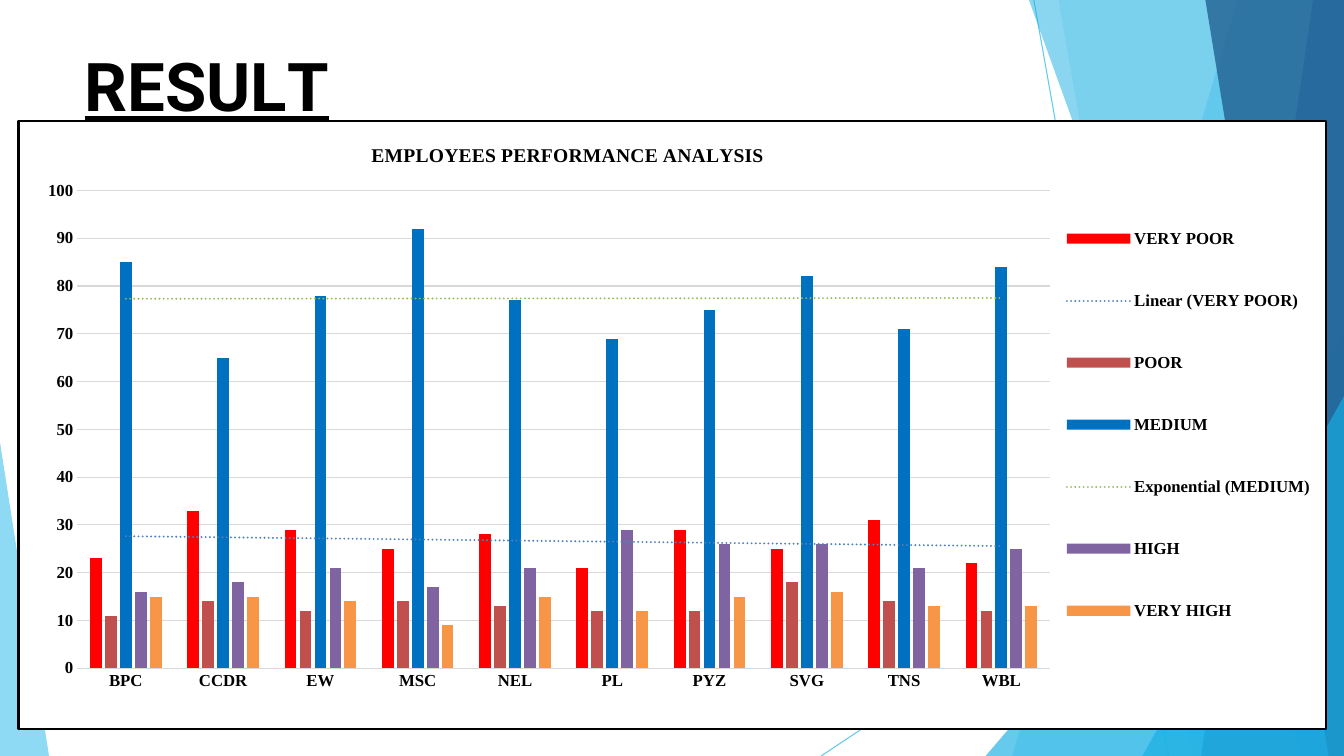
from lxml.etree import SubElement
from pptx import Presentation
from pptx.chart.data import CategoryChartData
from pptx.dml.color import RGBColor
from pptx.enum.chart import XL_CHART_TYPE, XL_LEGEND_POSITION, XL_TICK_MARK
from pptx.enum.shapes import MSO_CONNECTOR
from pptx.enum.text import MSO_ANCHOR, PP_ALIGN
from pptx.oxml import parse_xml
from pptx.oxml.ns import nsdecls, qn
from pptx.util import Pt

W, H = 960, 540
COLORS = {
    "black": "000000", "white": "FFFFFF", "grid": "D9D9D9",
    "sky": "5FCAEE", "cyan": "17AFE3", "blue": "2D83C3", "navy": "226192",
    "red": "FF0000", "brick": "C0504D", "azure": "0070C0",
    "violet": "8064A2", "orange": "F79646",
    "steel": "4F81BD", "green": "9BBB59",
}
# Decor: colour, opacity in percent, corner points
SHARDS = [
    ("sky", 36, [(W, 0), (884, 0), (723, H), (W, H)]),
    ("sky", 20, [(W, 0), (756, 0), (851, H), (W, H)]),
    ("cyan", 66, [(W, 240), (703.5, H), (W, H)]),
    ("cyan", 50, [(W, 0), (735, 0), (929.5, H), (W, H)]),
    ("blue", 70, [(W, 0), (938, 0), (858, H), (W, H)]),
    ("navy", 80, [(W, 0), (861, 0), (949, H), (W, H)]),
    ("cyan", 66, [(W, 283), (816.5, H), (W, H)]),
    ("sky", 70, [(0, 316), (0, H), (35, H)]),
]
TEAMS = ["BPC", "CCDR", "EW", "MSC", "NEL", "PL", "PYZ", "SVG", "TNS", "WBL"]
# Ratings: name, colour, values, trend (type, colour)
RATINGS = [
    ("VERY POOR", "red", [23, 33, 29, 25, 28, 21, 29, 25, 31, 22], ("linear", "steel")),
    ("POOR", "brick", [11, 14, 12, 14, 13, 12, 12, 18, 14, 12], None),
    ("MEDIUM", "azure", [85, 65, 78, 92, 77, 69, 75, 82, 71, 84], ("exp", "green")),
    ("HIGH", "violet", [16, 18, 21, 17, 21, 29, 26, 26, 21, 25], None),
    ("VERY HIGH", "orange", [15, 15, 14, 9, 15, 12, 15, 16, 13, 13], None),
]


def rgb(name):
    return RGBColor.from_string(COLORS[name])


class Deck:
    serif = "Times New Roman"
    sans = "Roboto"

    def __init__(self):
        self.prs = Presentation()
        self.prs.slide_width, self.prs.slide_height = Pt(W), Pt(H)
        self.slide = self.prs.slides.add_slide(self.prs.slide_layouts[5])
        self.shapes = self.slide.shapes

    def style(self, font, name, size):
        font.name, font.size, font.bold = name, Pt(size), True
        font.color.rgb = rgb("black")

    def line(self, x1, y1, x2, y2, color):
        rule = self.shapes.add_connector(
            MSO_CONNECTOR.STRAIGHT, Pt(x1), Pt(y1), Pt(x2), Pt(y2))
        rule.line.color.rgb, rule.line.width = rgb(color), Pt(0.75)
        SubElement(rule._element.spPr, qn("a:effectLst"))

    def shard(self, color, alpha, points):
        pen = self.shapes.build_freeform(*points[0], scale=Pt(1))
        pen.add_line_segments(points[1:], close=True)
        shape = pen.convert_to_shape()
        shape.shadow.inherit = False
        shape.fill.solid()
        shape.fill.fore_color.rgb = rgb(color)
        shape.line.fill.background()
        tint = shape._element.spPr.find(".//" + qn("a:srgbClr"))
        SubElement(tint, qn("a:alpha"), val=str(alpha * 1000))

    def title(self, parts, x, y, w, h):
        box = self.shapes.title
        box.left, box.top, box.width, box.height = Pt(x), Pt(y), Pt(w), Pt(h)
        frame = box.text_frame
        frame.margin_left = frame.margin_right = frame.margin_bottom = 0
        frame.margin_top = Pt(1)
        frame.word_wrap, frame.vertical_anchor = True, MSO_ANCHOR.TOP
        para = frame.paragraphs[0]
        para.alignment = PP_ALIGN.LEFT
        self.style(para.font, self.sans, 48)
        para.font.underline = True
        for text, gap in parts:
            run = para.add_run()
            run.text = text
            run._r.get_or_add_rPr().set("spc", str(gap * 100))

    def place(self, part, index, size, **spots):
        for old in part.findall(qn("c:layout")):
            part.remove(old)
        inner = '<c:layoutTarget val="inner"/>' if index == 0 else ""
        modes = '<c:xMode val="edge"/><c:yMode val="edge"/>'
        w, h = size
        marks = "".join(f'<c:{key} val="{val / (w if key in "xw" else h)}"/>'
                        for key, val in spots.items())
        part.insert(index, parse_xml(
            f'<c:layout {nsdecls("c")}><c:manualLayout>{inner}{modes}{marks}'
            "</c:manualLayout></c:layout>"))

    def trend(self, series, kind, color):
        series._element.find(qn("c:cat")).addprevious(parse_xml(
            f'<c:trendline {nsdecls("c", "a")}><c:spPr><a:ln w="{Pt(1.5)}" cap="rnd">'
            f'<a:solidFill><a:srgbClr val="{COLORS[color]}"/></a:solidFill>'
            f'<a:prstDash val="sysDot"/></a:ln></c:spPr><c:trendlineType val="{kind}"/>'
            '<c:dispRSqr val="0"/><c:dispEq val="0"/></c:trendline>'))

    def chart(self, heading, x, y, w, h):
        data = CategoryChartData()
        data.categories = TEAMS
        for name, _, values, _ in RATINGS:
            data.add_series(name, values)
        chart = self.shapes.add_chart(
            XL_CHART_TYPE.COLUMN_CLUSTERED, Pt(x), Pt(y), Pt(w), Pt(h), data).chart
        chart.font.name, chart.font.size = "Calibri", Pt(10)
        root = chart._chartSpace.find(qn("c:chart"))
        root.addnext(parse_xml(
            f'<c:spPr {nsdecls("c", "a")}>'
            f'<a:solidFill><a:srgbClr val="{COLORS["white"]}"/></a:solidFill>'
            f'<a:ln w="{Pt(1.5)}"><a:solidFill><a:srgbClr val="{COLORS["black"]}"/>'
            "</a:solidFill></a:ln></c:spPr>"))

        # Heading and legend
        chart.has_title = True
        frame = chart.chart_title.text_frame
        frame.text = heading
        self.style(frame.paragraphs[0].font, self.serif, 14)
        chart.has_legend = True
        chart.legend.position = XL_LEGEND_POSITION.RIGHT
        chart.legend.include_in_layout = False
        self.style(chart.legend.font, self.serif, 12)
        size = (w, h)
        self.place(root.find(qn("c:title")), 1, size, x=250, y=12.5)
        self.place(root.find(qn("c:legend")), 1, size, x=748, y=46, w=178, h=343)
        self.place(root.find(qn("c:plotArea")), 0, size, x=42, y=49.5, w=696, h=342.5)

        # Axes
        cat, val = chart.category_axis, chart.value_axis
        for axis in (cat, val):
            axis.major_tick_mark = axis.minor_tick_mark = XL_TICK_MARK.NONE
            self.style(axis.tick_labels.font, self.serif, 12)
        val.minimum_scale, val.maximum_scale, val.major_unit = 0, 100, 10
        val.has_major_gridlines = True
        val.format.line.fill.background()
        for edge in (cat.format.line, val.major_gridlines.format.line):
            edge.color.rgb, edge.width = rgb("grid"), Pt(0.75)

        # Columns and trend lines
        plot = chart.plots[0]
        plot.gap_width, plot.overlap, plot.vary_by_categories = 219, -27, False
        for series, (_, color, _, trend) in zip(plot.series, RATINGS):
            series.format.fill.solid()
            series.format.fill.fore_color.rgb = rgb(color)
            if trend:
                self.trend(series, *trend)


def main():
    deck = Deck()
    # Backdrop
    deck.line(738.5, 0, 834.5, H, "sky")
    deck.line(W, 291, 586.5, H, "sky")
    for shard in SHARDS:
        deck.shard(*shard)
    # Content
    deck.title([("RESU", 0), ("L", -4), ("T", 0)], 60.5, 30.5, 192, 47)
    deck.chart("EMPLOYEES PERFORMANCE ANALYSIS", 12.5, 86, 935.5, 435.5)
    deck.prs.save("out.pptx")


if __name__ == "__main__":
    main()
